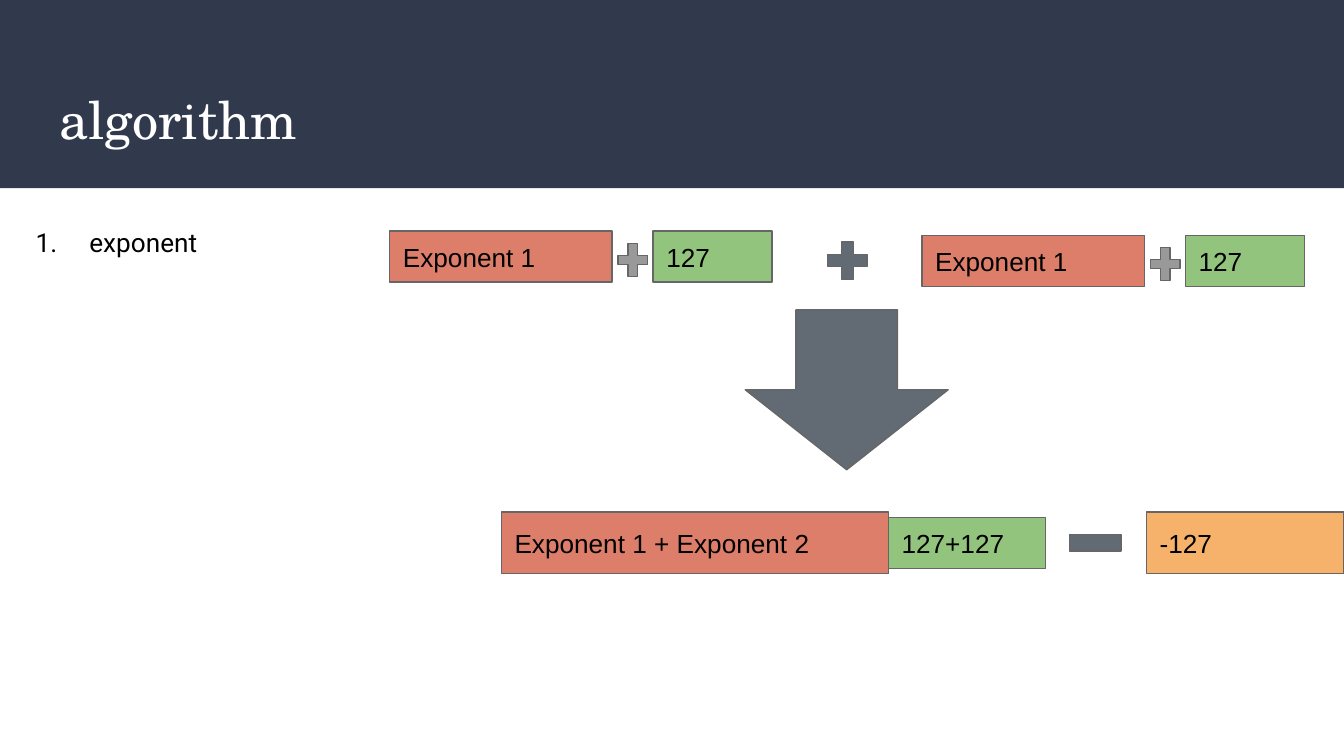
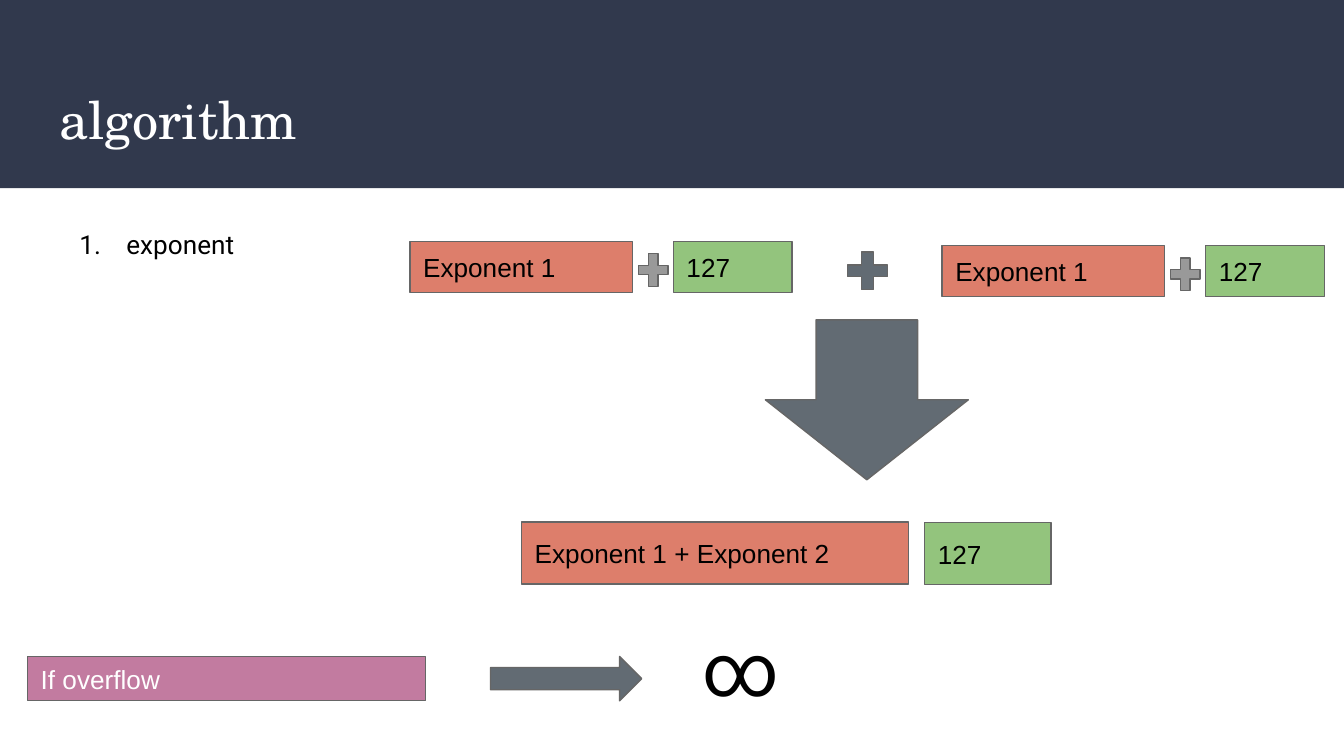
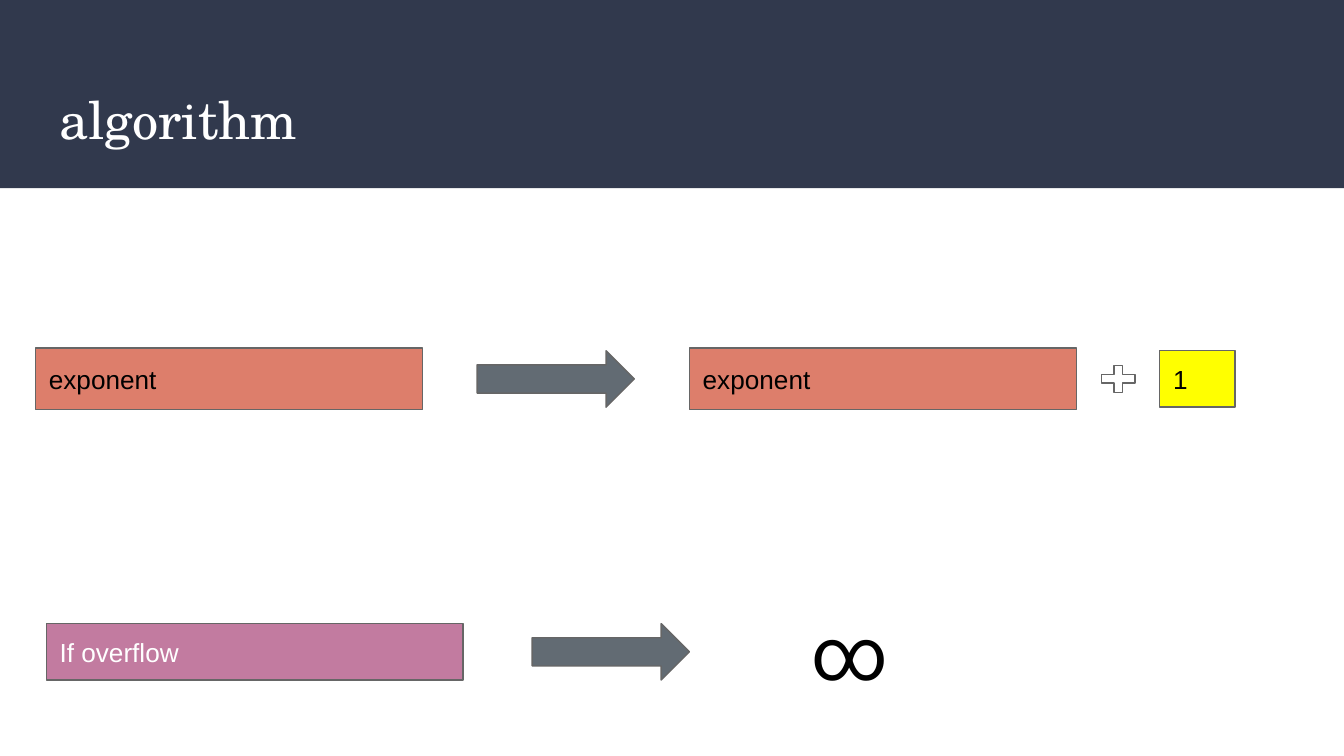
import pptx
import pptx.dml.color
import pptx.enum.shapes
import pptx.enum.text
import pptx.util
import lxml.etree
from dataclasses import dataclass
from pptx.oxml import ns

SHAPE = pptx.enum.shapes.MSO_SHAPE
ANCHOR = pptx.enum.text.MSO_ANCHOR


@dataclass(frozen=True)
class Theme:
    navy: str = "31394D"
    slate: str = "626B73"
    gray: str = "999999"
    outline: str = "666666"
    red: str = "DD7E6B"
    green: str = "93C47D"
    orange: str = "F6B26B"
    pink: str = "C27BA0"
    yellow: str = "FFFF00"
    black: str = "000000"
    white: str = "FFFFFF"
    title_font: str = "TeX Gyre Schola"
    list_font: str = "Roboto"
    label_font: str = "Arial"
    title_size: int = 28
    text_size: int = 14
    symbol_size: int = 40
    line_width: float = 0.75


THEME = Theme()
WIDTH = pptx.util.Inches(10)
HEIGHT = WIDTH * 9 // 16
CELL = WIDTH / 100  # the grid has 100 columns of square cells

# Shared places: left, top, width, height in cells
BAND = (0, 0, 100, 14)
TITLE = (3.4, 5.5, 93.2, 6.8)

# Kinds of part: preset shape, fill, text colour
KINDS = {
    "exponent": (SHAPE.RECTANGLE, THEME.red, THEME.black),
    "bias": (SHAPE.RECTANGLE, THEME.green, THEME.black),
    "correction": (SHAPE.RECTANGLE, THEME.orange, THEME.black),
    "carry": (SHAPE.RECTANGLE, THEME.yellow, THEME.black),
    "overflow": (SHAPE.RECTANGLE, THEME.pink, THEME.white),
    "inner plus": (SHAPE.MATH_PLUS, THEME.gray, None),
    "plus": (SHAPE.MATH_PLUS, THEME.slate, None),
    "open plus": (SHAPE.MATH_PLUS, None, None),
    "minus": (SHAPE.MATH_MINUS, THEME.slate, None),
    "down": (SHAPE.DOWN_ARROW, THEME.slate, None),
    "right": (SHAPE.RIGHT_ARROW, THEME.slate, None),
}

# A biased exponent, and the sum of two, measured from their own corners
TERM = [
    ("exponent", "Exponent 1", (0, 0, 16.55, 3.8)),
    ("inner plus", "", (16.6, 0.5, 3, 3.3)),
    ("bias", "127", (19.6, 0, 8.85, 3.8)),
]
TERM_OFFSETS = [(0, 0), (39.6, 0.3)]
SUM = [
    ("plus", "", (32.05, 0.3, 4, 3.8)),
    ("down", "", (26.45, 5.85, 15.1, 11.9)),
    ("exponent", "Exponent 1 + Exponent 2", (8.3, 20.9, 28.8, 4.6)),
]

# Slides: step (text, place, indent, hanging, automatic number), corner of the
# sum, further parts, place of the infinity sign
SLIDES = [
    dict(
        title="algorithm",
        step=("1.\texponent", (1.65, 15.85, 41.6, 5.2), 4, 4, False),
        sum_at=(29, 17.2),
        parts=[
            ("bias", "127+127", (66.1, 38.5, 11.7, 3.8)),
            ("minus", "", (78.9, 37.8, 5.2, 5.2)),
            ("correction", "-127", (85.3, 38.1, 14.7, 4.6)),
        ],
    ),
    dict(
        title="algorithm",
        step=("exponent", (3.4, 16, 41.6, 5.2), 5, 3.5, True),
        sum_at=(30.5, 17.95),
        parts=[
            ("bias", "127", (68.8, 38.9, 9.4, 4.6)),
            ("overflow", "If overflow", (2.05, 48.85, 29.6, 3.3)),
            ("right", "", (36.5, 48.85, 11.25, 3.3)),
        ],
        infinity=(51.3, 45.3, 31.4, 6.8),
    ),
    dict(
        title="algorithm",
        parts=[
            ("exponent", "exponent", (2.65, 25.9, 28.8, 4.6)),
            ("right", "", (35.5, 26.1, 11.7, 4.2)),
            ("exponent", "exponent", (51.3, 25.9, 28.8, 4.6)),
            ("open plus", "", (81.5, 26.85, 3.4, 2.7)),
            ("carry", "1", (86.3, 26.1, 5.6, 4.2)),
            ("overflow", "If overflow", (3.45, 46.4, 31, 4.2)),
            ("right", "", (39.6, 46.4, 11.7, 4.2)),
        ],
        infinity=(59.4, 44.1, 32.9, 8.9),
    ),
]


def cells(place):
    return [round(value * CELL) for value in place]


def rgb(color):
    return pptx.dml.color.RGBColor.from_string(color)


def move(box, place):
    box.left, box.top, box.width, box.height = cells(place)


def write(box, text, font=THEME.label_font, size=THEME.text_size,
          color=THEME.black, anchor=ANCHOR.TOP, indent=0, hanging=0,
          numbered=False):
    """Write one left-aligned paragraph; indent and hanging are in cells."""
    frame = box.text_frame
    frame.word_wrap = True
    frame.auto_size = pptx.enum.text.MSO_AUTO_SIZE.NONE
    frame.vertical_anchor = anchor
    frame.margin_left = frame.margin_right = round(CELL)
    frame.margin_top = frame.margin_bottom = round(CELL)
    para = frame.paragraphs[0]
    para.alignment = pptx.enum.text.PP_ALIGN.LEFT
    para.space_before = pptx.util.Pt(0)
    properties = para._p.get_or_add_pPr()
    properties.set("marL", str(round(indent * CELL)))
    properties.set("indent", str(round(-hanging * CELL)))
    if numbered:
        lxml.etree.SubElement(properties, ns.qn("a:buFont"), typeface=font)
        lxml.etree.SubElement(properties, ns.qn("a:buAutoNum"), type="arabicPeriod")
    else:
        lxml.etree.SubElement(properties, ns.qn("a:buNone"))
    span = para.add_run()
    span.text = text
    span.font.name = font
    span.font.size = pptx.util.Pt(size)
    span.font.color.rgb = rgb(color)


def add_shape(page, preset, place, fill=None, line=None):
    shape = page.shapes.add_shape(preset, *cells(place))
    shape.shadow.inherit = False
    if fill:
        shape.fill.solid()
        shape.fill.fore_color.rgb = rgb(fill)
    else:
        shape.fill.background()
    if line:
        shape.line.color.rgb = rgb(line)
        shape.line.width = pptx.util.Pt(THEME.line_width)
    else:
        shape.line.fill.background()
    return shape


def add_parts(page, parts, corner=(0, 0)):
    for kind, text, (left, top, width, height) in parts:
        preset, fill, color = KINDS[kind]
        place = (corner[0] + left, corner[1] + top, width, height)
        shape = add_shape(page, preset, place, fill, THEME.outline)
        if text:
            write(shape, text, color=color, anchor=ANCHOR.MIDDLE)


def add_sum(page, corner):
    for across, down in TERM_OFFSETS:
        add_parts(page, TERM, (corner[0] + across, corner[1] + down))
    add_parts(page, SUM, corner)


def add_page(deck, layout, content):
    page = deck.slides.add_slide(layout)
    write(page.shapes.title, content["title"], font=THEME.title_font,
          size=THEME.title_size, color=THEME.white)
    body = page.placeholders[1]
    if "step" in content:
        text, place, indent, hanging, numbered = content["step"]
        move(body, place)
        write(body, text, font=THEME.list_font, indent=indent,
              hanging=hanging, numbered=numbered)
    else:
        body.element.getparent().remove(body.element)
    if "sum_at" in content:
        add_sum(page, content["sum_at"])
    add_parts(page, content["parts"])
    if "infinity" in content:
        box = page.shapes.add_textbox(*cells(content["infinity"]))
        write(box, "∞", font=THEME.list_font, size=THEME.symbol_size)
    return page


def main():
    deck = pptx.Presentation()
    deck.slide_width, deck.slide_height = WIDTH, HEIGHT
    layout = deck.slide_layouts[1]
    move(layout.placeholders[0], TITLE)
    pages = [add_page(deck, layout, content) for content in SLIDES]

    # The band belongs to the layout, behind its placeholders
    band = add_shape(pages[0], SHAPE.RECTANGLE, BAND, THEME.navy)
    layout.shapes._spTree.insert(2, band.element)
    deck.save("out.pptx")


if __name__ == "__main__":
    main()
